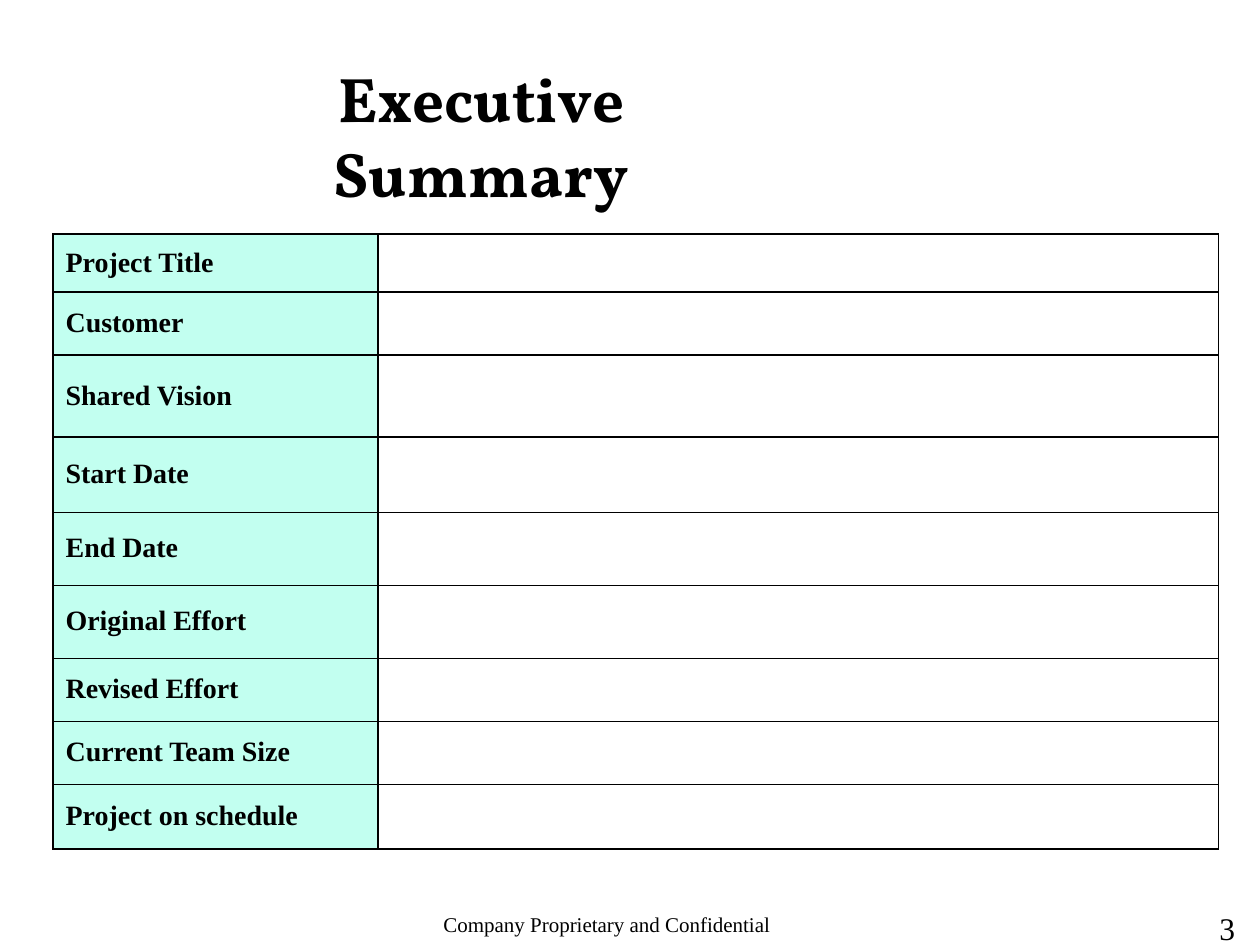
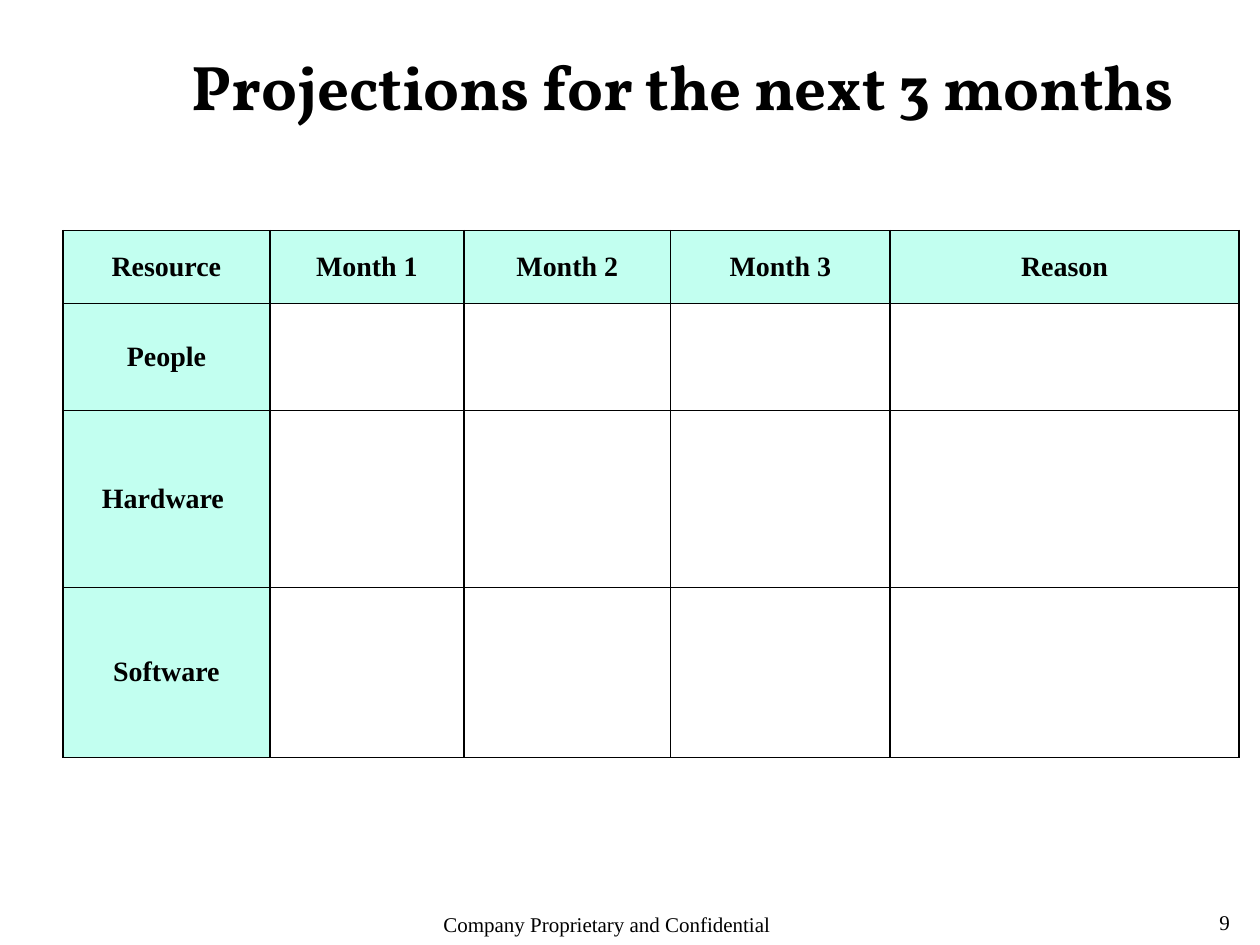
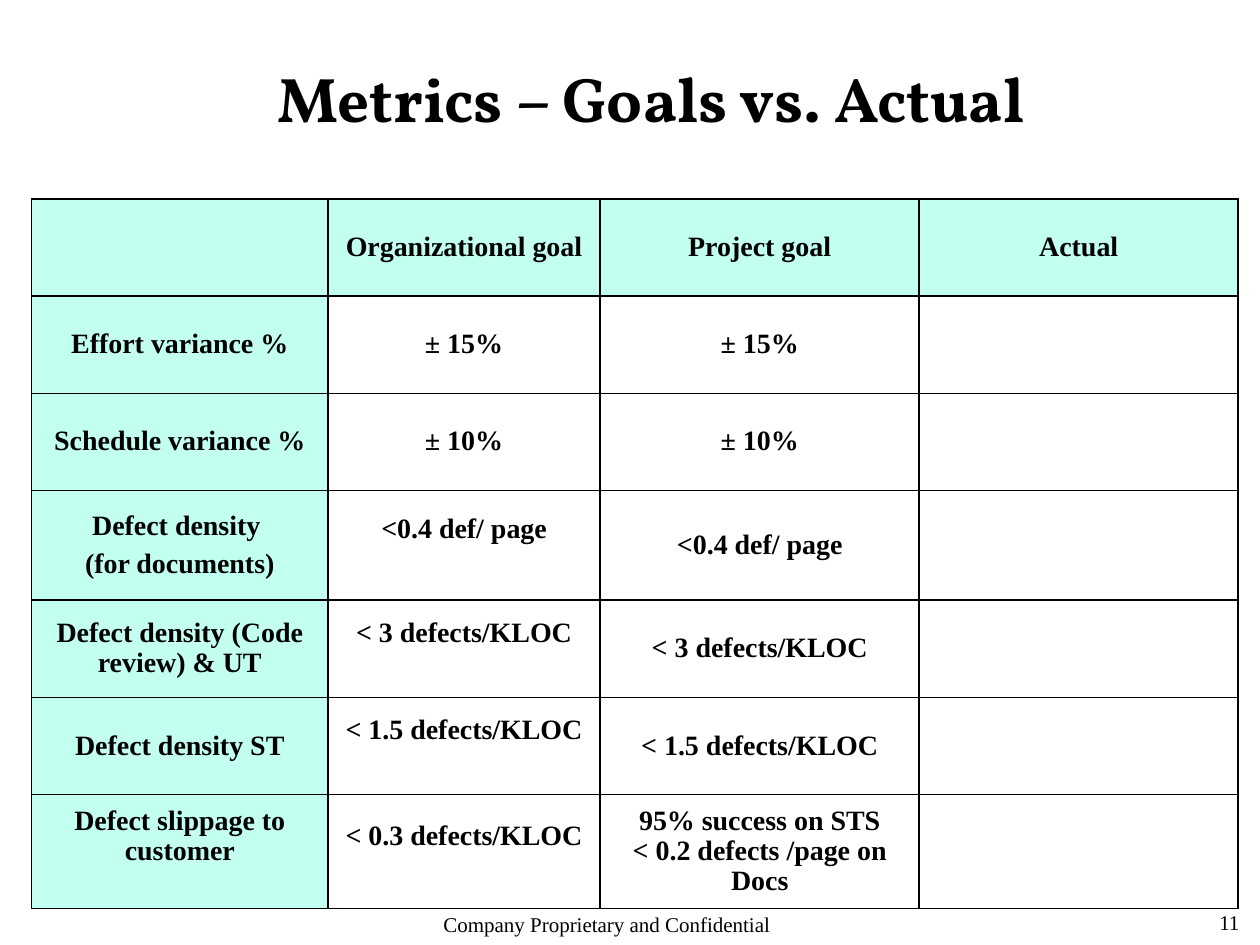
"""Build three project review slides, each with a title, a table and a footer."""

from dataclasses import dataclass, field

from lxml.etree import SubElement
from pptx import Presentation
from pptx.dml.color import RGBColor
from pptx.enum.text import MSO_ANCHOR, MSO_AUTO_SIZE, PP_ALIGN
from pptx.oxml.ns import qn
from pptx.slide import Slide
from pptx.table import _Cell
from pptx.text.text import TextFrame
from pptx.util import Cm, Pt

BLACK = RGBColor(0x00, 0x00, 0x00)
MINT = RGBColor(0xC2, 0xFF, 0xF0)
SERIF = "Times New Roman"
DISPLAY = "Vollkorn"
FOOTER = "Company Proprietary and Confidential"
TITLE_ONLY = 5
LIFT = Cm(0.75)


@dataclass(frozen=True)
class Box:
    left: float
    top: float
    width: float
    height: float


@dataclass(frozen=True)
class Grid:
    left: float
    top: float
    cols: tuple[float, ...]
    rows: tuple[float, ...]
    cells: list[list[str]]
    header: bool = True
    align: PP_ALIGN = PP_ALIGN.CENTER
    lifted: set[tuple[int, int]] = field(default_factory=set)
    spaced: set[tuple[int, int]] = field(default_factory=set)


@dataclass(frozen=True)
class Page:
    title: str
    box: Box
    grid: Grid
    number: int
    size: int = 12
    inset: float = 0.25


FOOT_BOX = Box(8.69, 18.26, 8.03, 0.79)
NUM_BOX = Box(24.33, 18.21, 1.07, 0.84)

LABELS = (
    "Project Title", "Customer", "Shared Vision", "Start Date", "End Date",
    "Original Effort", "Revised Effort", "Current Team Size", "Project on schedule",
)

PAGES = (
    Page(
        "Executive Summary",
        Box(6.63, 1.07, 12.17, 1.8),
        Grid(
            1.07, 4.72, (6.55, 16.94),
            (1.17, 1.27, 1.65, 1.52, 1.47, 1.47, 1.27, 1.27, 1.3),
            [[label, ""] for label in LABELS],
            header=False, align=PP_ALIGN.LEFT,
        ),
        number=3, size=18, inset=6.02,
    ),
    Page(
        "Projections for the next 3 months",
        Box(2.97, 0.84, 21.59, 1.8),
        Grid(
            1.27, 4.65, (4.17, 3.91, 4.17, 4.42, 7.04), (1.47, 2.16, 3.56, 3.43),
            [
                ["Resource", "Month 1", "Month 2", "Month 3", "Reason"],
                *([name, "", "", "", ""] for name in ("People", "Hardware ", "Software")),
            ],
        ),
        number=9,
    ),
    Page(
        "Metrics – Goals vs. Actual",
        Box(2.97, 1.07, 20.32, 1.8),
        Grid(
            0.64, 4.01, (5.97, 5.49, 6.43, 6.43),
            (1.96, 1.96, 1.96, 2.21, 1.96, 1.96, 2.3),
            [
                ["", "Organizational goal", "Project goal", "Actual"],
                ["Effort variance %", "± 15%", "± 15%", ""],
                ["Schedule variance %", "± 10%", "± 10%", ""],
                ["Defect density \n(for documents)", "<0.4 def/ page", "<0.4 def/ page", ""],
                ["Defect density (Code review) & UT", "< 3 defects/KLOC", "< 3 defects/KLOC", ""],
                ["Defect density ST", "< 1.5 defects/KLOC", "< 1.5 defects/KLOC", ""],
                [
                    "Defect slippage to customer", "< 0.3 defects/KLOC",
                    "95% success on STS\n< 0.2 defects /page on Docs", "",
                ],
            ],
            lifted={(3, 1), (4, 1), (5, 1), (6, 1), (6, 0)},
            spaced={(3, 0)},
        ),
        number=11,
    ),
)


def style(frame: TextFrame, font: str, size: int, bold: bool, align: PP_ALIGN) -> None:
    """Format every run of a text frame."""
    for para in frame.paragraphs:
        para.alignment = align
        for run in para.runs:
            run.font.name = font
            run.font.size = Pt(size)
            run.font.bold = bold
            run.font.color.rgb = BLACK


def add_title(slide: Slide, page: Page) -> None:
    """Place and format the title placeholder."""
    title, box = slide.shapes.title, page.box
    title.left, title.top = Cm(box.left), Cm(box.top)
    title.width, title.height = Cm(box.width), Cm(box.height)
    frame = title.text_frame
    frame.text = page.title
    frame.word_wrap = True
    frame.auto_size = MSO_AUTO_SIZE.NONE
    frame.vertical_anchor = MSO_ANCHOR.TOP
    frame.margin_left = 0 if page.inset > 1 else Cm(page.inset)
    frame.margin_right = Cm(page.inset)
    style(frame, DISPLAY, 36, True, PP_ALIGN.CENTER)


def add_note(slide: Slide, box: Box, text: str, size: int) -> None:
    """Add a line of footer text."""
    shape = slide.shapes.add_textbox(
        Cm(box.left), Cm(box.top), Cm(box.width), Cm(box.height)
    )
    frame = shape.text_frame
    frame.text = text
    frame.word_wrap = True
    style(frame, SERIF, size, False, PP_ALIGN.LEFT)


def add_lines(cell: _Cell) -> None:
    """Draw a thin black line on each side of a cell."""
    props = cell._tc.get_or_add_tcPr()
    for side in ("a:lnL", "a:lnR", "a:lnT", "a:lnB"):
        line = SubElement(props, qn(side), w=str(Pt(1)))
        fill = SubElement(line, qn("a:solidFill"))
        SubElement(fill, qn("a:srgbClr"), val=str(BLACK))


def add_grid(slide: Slide, grid: Grid) -> None:
    """Add a table with mint label cells."""
    table = slide.shapes.add_table(
        len(grid.rows), len(grid.cols), Cm(grid.left), Cm(grid.top),
        Cm(sum(grid.cols)), Cm(sum(grid.rows)),
    ).table
    table.first_row = table.horz_banding = False
    for col, width in zip(table.columns, grid.cols):
        col.width = Cm(width)
    for row, height in zip(table.rows, grid.rows):
        row.height = Cm(height)
    for r, texts in enumerate(grid.cells):
        for c, text in enumerate(texts):
            cell = table.cell(r, c)
            add_lines(cell)
            if c == 0 or (grid.header and r == 0):
                cell.fill.solid()
                cell.fill.fore_color.rgb = MINT
            else:
                cell.fill.background()
            cell.vertical_anchor = MSO_ANCHOR.MIDDLE
            if not text:
                continue
            frame = cell.text_frame
            frame.text = text
            style(frame, SERIF, 16, True, grid.align)
            for para in frame.paragraphs:
                para.line_spacing = 0.96
            if (r, c) in grid.lifted:
                cell.margin_bottom = LIFT
            if (r, c) in grid.spaced:
                for para in frame.paragraphs[1:]:
                    para.space_before = Pt(4.5)


def main() -> None:
    """Build and save the deck."""
    deck = Presentation()
    deck.slide_width, deck.slide_height = Cm(25.4), Cm(19.05)
    for page in PAGES:
        slide = deck.slides.add_slide(deck.slide_layouts[TITLE_ONLY])
        add_title(slide, page)
        add_grid(slide, page.grid)
        add_note(slide, NUM_BOX, str(page.number), page.size)
        add_note(slide, FOOT_BOX, FOOTER, 12)
    deck.save("out.pptx")


if __name__ == "__main__":
    main()
